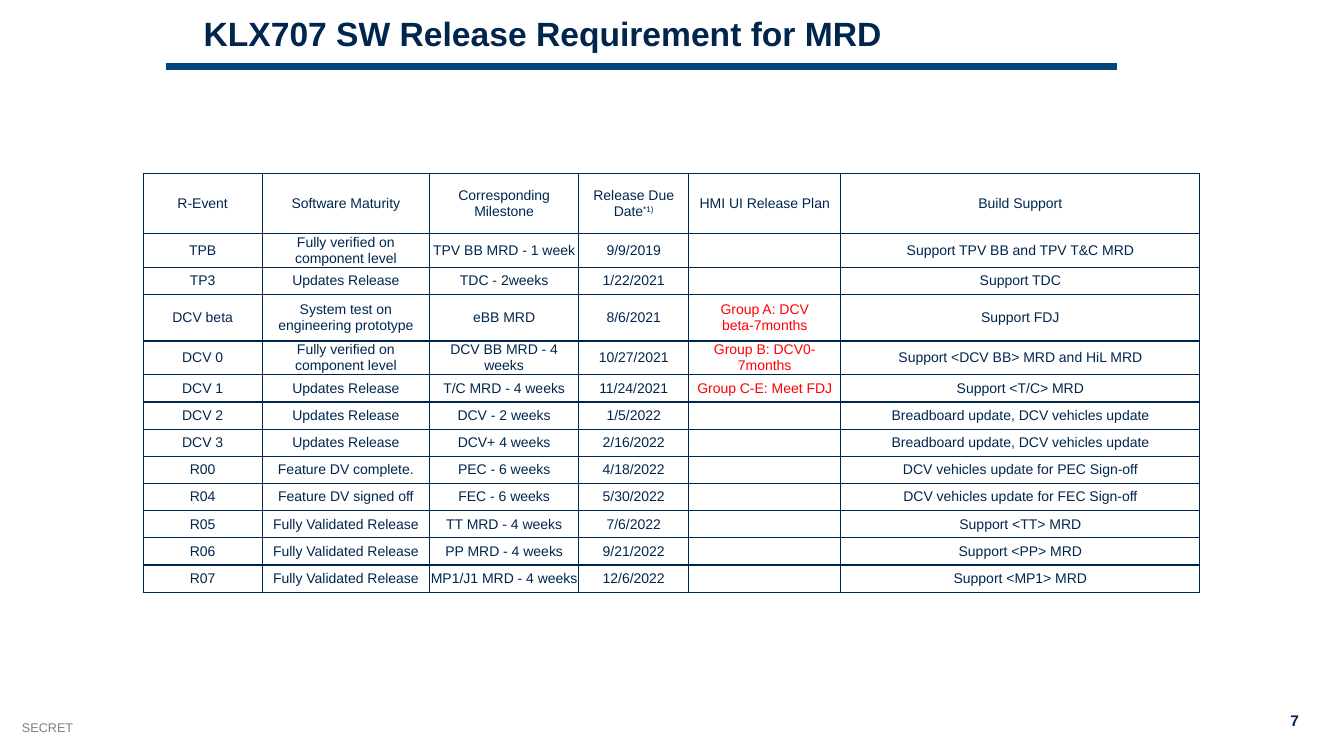
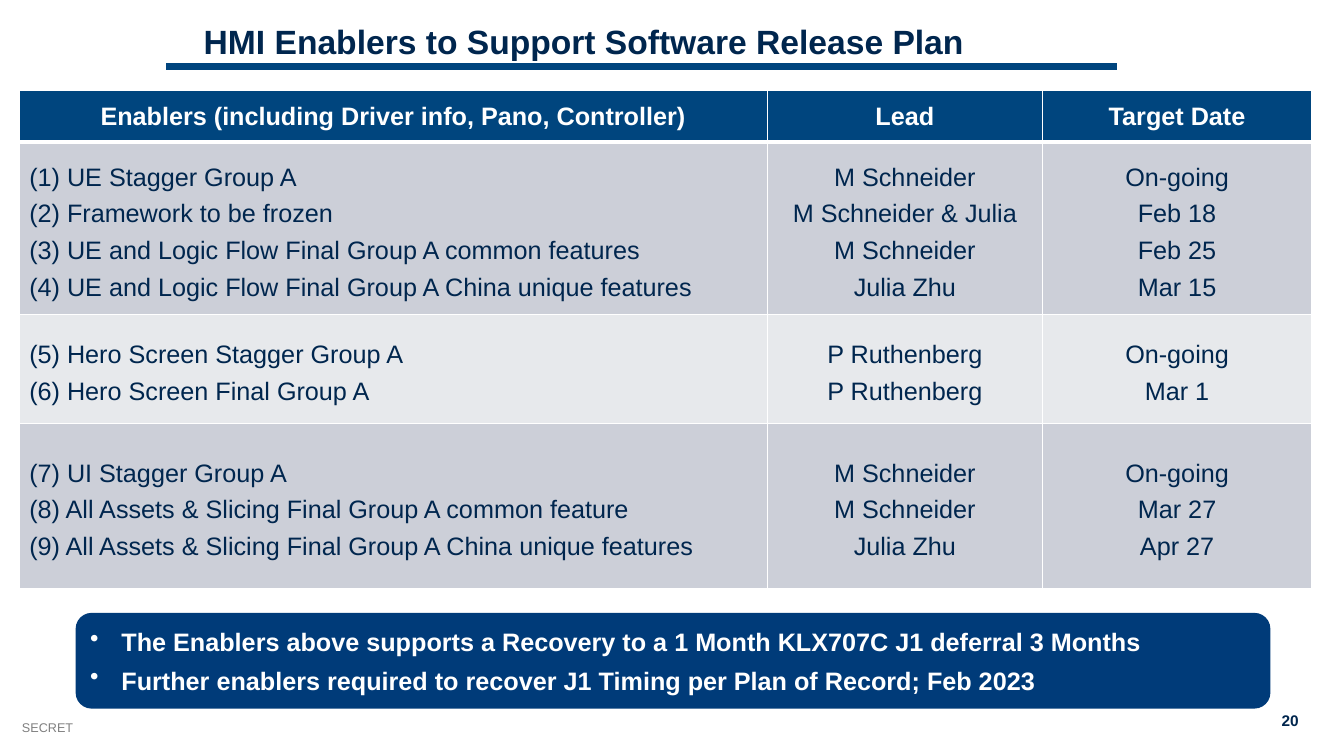
import lxml.etree
import pptx
import pptx.dml.color
import pptx.enum.shapes
import pptx.enum.text
import pptx.oxml
import pptx.oxml.ns
import pptx.util

Inches = pptx.util.Inches
Pt = pptx.util.Pt
ALIGN = pptx.enum.text.PP_ALIGN
MIDDLE = pptx.enum.text.MSO_ANCHOR.MIDDLE
qn = pptx.oxml.ns.qn

FONT = "Arial"
NAVY, BLUE, CALLOUT = "00264E", "00457E", "003B79"
WHITE, GREY, RED = "FFFFFF", "808080", "FF0000"
BAND_DARK, BAND_LIGHT = "CCCFD8", "E7E9EC"


def color(value):
    return pptx.dml.color.RGBColor.from_string(value)


def style(para, size, ink=NAVY, bold=False, align=ALIGN.LEFT):
    para.alignment = align
    para.font.name = FONT
    para.font.size = Pt(size)
    para.font.bold = bold
    para.font.color.rgb = color(ink)


deck = pptx.Presentation()
deck.slide_width, deck.slide_height = Inches(13.33), Inches(7.5)

# Shared frame: title, rule, classification and page number
pages = []
for title, title_top, number in (
    ("KLX707 SW Release Requirement for MRD", 0.12, "7"),
    ("HMI Enablers to Support Software Release Plan", 0.2, "20"),
):
    page = deck.slides.add_slide(deck.slide_layouts[5])
    pages.append(page)

    rule = page.shapes.add_connector(
        pptx.enum.shapes.MSO_CONNECTOR.STRAIGHT,
        Inches(1.65), Inches(0.66), Inches(11.08), Inches(0.66))
    rule.line.color.rgb = color(BLUE)
    rule.line.width = Pt(4.5)
    lxml.etree.SubElement(rule._element.spPr, qn("a:effectLst"))

    heading = page.shapes.title
    heading.left, heading.top = Inches(1.92), Inches(title_top)
    heading.width, heading.height = Inches(11.85), Inches(0.63)
    heading.text_frame.text = title
    heading.text_frame.auto_size = pptx.enum.text.MSO_AUTO_SIZE.NONE
    heading.text_frame.vertical_anchor = pptx.enum.text.MSO_ANCHOR.TOP
    heading.text_frame.paragraphs[0].line_spacing = 0.9
    style(heading.text_frame.paragraphs[0], 24, bold=True)

    for text, left, top, width, height, size, ink, bold, align in (
        ("SECRET", 0.12, 7.09, 3, 0.25, 9, GREY, False, ALIGN.LEFT),
        (number, 12.59, 7.01, 0.39, 0.29, 11, NAVY, True, ALIGN.RIGHT),
    ):
        box = page.shapes.add_textbox(Inches(left), Inches(top), Inches(width), Inches(height))
        box.text_frame.word_wrap = True
        box.text_frame.text = text
        style(box.text_frame.paragraphs[0], size, ink, bold, align)

release_page, enabler_page = pages

# Table contents
releases = [
    ("R-Event", "Software Maturity", "Corresponding Milestone", "Release Due Date",
     "HMI UI Release Plan", "Build Support"),
    ("TPB", "Fully verified on component level", "TPV BB MRD - 1 week", "9/9/2019", "",
     "Support TPV BB and TPV T&C MRD"),
    ("TP3", "Updates Release", "TDC - 2weeks", "1/22/2021", "", "Support TDC"),
    ("DCV beta", "System test on engineering prototype", "eBB MRD", "8/6/2021",
     "Group A: DCV beta-7months", "Support FDJ"),
    ("DCV 0", "Fully verified on component level", "DCV BB MRD - 4 weeks", "10/27/2021",
     "Group B: DCV0-7months", "Support <DCV BB> MRD and HiL MRD"),
    ("DCV 1", "Updates Release", "T/C MRD - 4 weeks", "11/24/2021",
     "Group C-E: Meet FDJ", "Support <T/C> MRD"),
    ("DCV 2", "Updates Release", "DCV - 2 weeks", "1/5/2022", "",
     "Breadboard update, DCV vehicles update"),
    ("DCV 3", "Updates Release", "DCV+ 4 weeks", "2/16/2022", "",
     "Breadboard update, DCV vehicles update"),
    ("R00", "Feature DV complete.", "PEC - 6 weeks", "4/18/2022", "",
     "DCV vehicles update for PEC Sign-off"),
    ("R04", "Feature DV signed off", "FEC - 6 weeks", "5/30/2022", "",
     "DCV vehicles update for FEC Sign-off"),
    ("R05", "Fully Validated Release", "TT MRD - 4 weeks", "7/6/2022", "", "Support <TT> MRD"),
    ("R06", "Fully Validated Release", "PP MRD - 4 weeks", "9/21/2022", "", "Support <PP> MRD"),
    ("R07", "Fully Validated Release", "MP1/J1 MRD - 4 weeks", "12/6/2022", "",
     "Support <MP1> MRD"),
]
enablers = [
    ("Enablers (including Driver info, Pano, Controller)", "Lead", "Target Date"),
    ("(1) UE Stagger Group A\n(2) Framework to be frozen\n"
     "(3) UE and Logic Flow Final Group A common features\n"
     "(4) UE and Logic Flow Final Group A China unique features",
     "M Schneider\nM Schneider & Julia\nM Schneider\nJulia Zhu",
     "On-going\nFeb 18\nFeb 25\nMar 15"),
    ("(5) Hero Screen Stagger Group A\n(6) Hero Screen Final Group A",
     "P Ruthenberg\nP Ruthenberg", "On-going\nMar 1"),
    ("(7) UI Stagger Group A\n(8) All Assets & Slicing Final Group A common feature\n"
     "(9) All Assets & Slicing Final Group A China unique features",
     "M Schneider\nM Schneider\nJulia Zhu", "On-going\nMar 27\nApr 27"),
]

# Both tables: grid, text and cell borders
tables = []
for page, rows, left, top, widths, heights, edge, size in (
    (release_page, releases, 1.42, 1.72, (1.18, 1.66, 1.48, 1.09, 1.51, 3.56),
     [0.6, 0.27, 0.27, 0.46] + [0.27] * 9, NAVY, 10),
    (enabler_page, enablers, 0.19, 0.9, (7.42, 2.73, 2.67),
     [0.51, 1.71, 1.08, 1.64], WHITE, 18),
):
    table = page.shapes.add_table(
        len(rows), len(widths), Inches(left), Inches(top),
        Inches(sum(widths)), Inches(sum(heights))).table
    table.first_row = table.horz_banding = False
    tables.append(table)
    for column, width in zip(table.columns, widths):
        column.width = Inches(width)
    for row, height, texts in zip(table.rows, heights, rows):
        row.height = Inches(height)
        for cell, text in zip(row.cells, texts):
            cell.text = text
            cell.vertical_anchor = MIDDLE
            for para in cell.text_frame.paragraphs:
                style(para, size, align=ALIGN.CENTER)
                if not text:
                    lxml.etree.SubElement(para._p, qn("a:endParaRPr"), sz=str(size * 100))
            for side in ("L", "R", "T", "B"):
                border = lxml.etree.SubElement(
                    cell._tc.get_or_add_tcPr(), qn("a:ln" + side), w=str(Pt(1)))
                fill = lxml.etree.SubElement(border, qn("a:solidFill"))
                lxml.etree.SubElement(fill, qn("a:srgbClr"), val=edge)
            cell.fill.background()

release_table, enabler_table = tables

# Release table: tight cells, red plan column, footnote mark
for cell in release_table.iter_cells():
    cell.margin_left = cell.margin_right = cell.margin_top = cell.margin_bottom = 0
for index in range(1, len(releases)):
    release_table.cell(index, 4).text_frame.paragraphs[0].font.color.rgb = color(RED)
mark = release_table.cell(0, 3).text_frame.paragraphs[0].add_run()
mark.text = "*1)"
mark._r.get_or_add_rPr().set("baseline", "30000")

# Enabler table: header, bands and heavier line under the header
for index, row in enumerate(enabler_table.rows):
    for position, cell in enumerate(row.cells):
        cell.fill.solid()
        cell.fill.fore_color.rgb = color((BLUE, BAND_DARK, BAND_LIGHT, BAND_DARK)[index])
        for para in cell.text_frame.paragraphs:
            if index == 0:
                style(para, 18, WHITE, True, ALIGN.CENTER)
            else:
                para.line_spacing = 1.3
                para.alignment = ALIGN.CENTER if position else ALIGN.LEFT
        if index < 2:
            side = "a:lnB" if index == 0 else "a:lnT"
            cell._tc.tcPr.find(qn(side)).set("w", str(Pt(3)))

# Callout
callout = enabler_page.shapes.add_shape(
    pptx.enum.shapes.MSO_SHAPE.ROUNDED_RECTANGLE,
    Inches(0.75), Inches(6.08), Inches(11.85), Inches(0.95))
callout.shadow.inherit = False
callout.fill.solid()
callout.fill.fore_color.rgb = color(CALLOUT)
callout.line.fill.background()
callout.text_frame.vertical_anchor = MIDDLE
callout.text_frame.text = (
    "The Enablers above supports a Recovery to a 1 Month KLX707C J1 deferral 3 Months\n"
    "Further enablers required to recover J1 Timing per Plan of Record; Feb 2023")
for para in callout.text_frame.paragraphs:
    para.space_after = Pt(6)
    properties = para._p.get_or_add_pPr()
    properties.set("marL", str(Inches(0.31)))
    properties.set("indent", str(-Inches(0.31)))
    lxml.etree.SubElement(properties, qn("a:buChar"), char="•")
    style(para, 18, WHITE, True)

deck.save("out.pptx")
